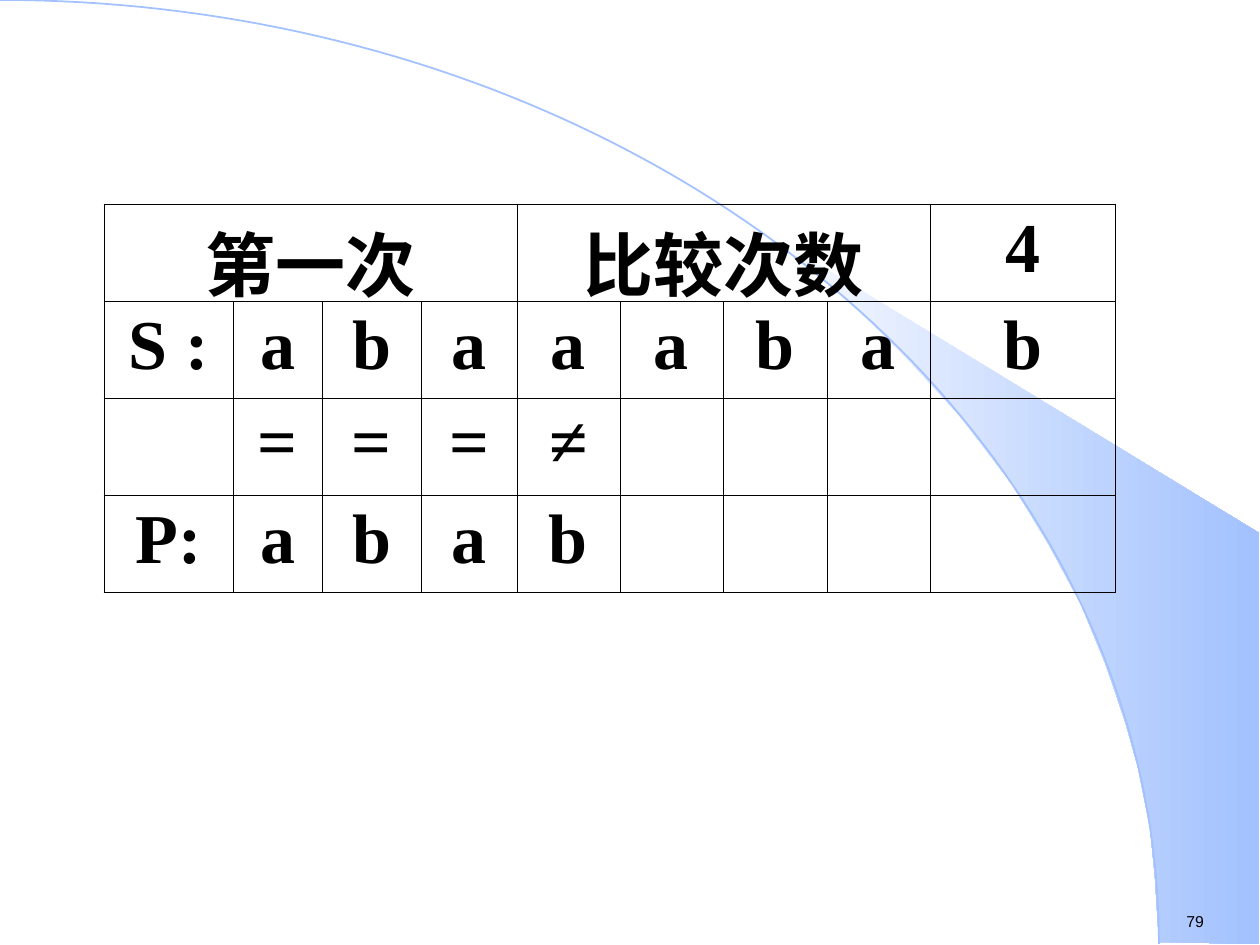
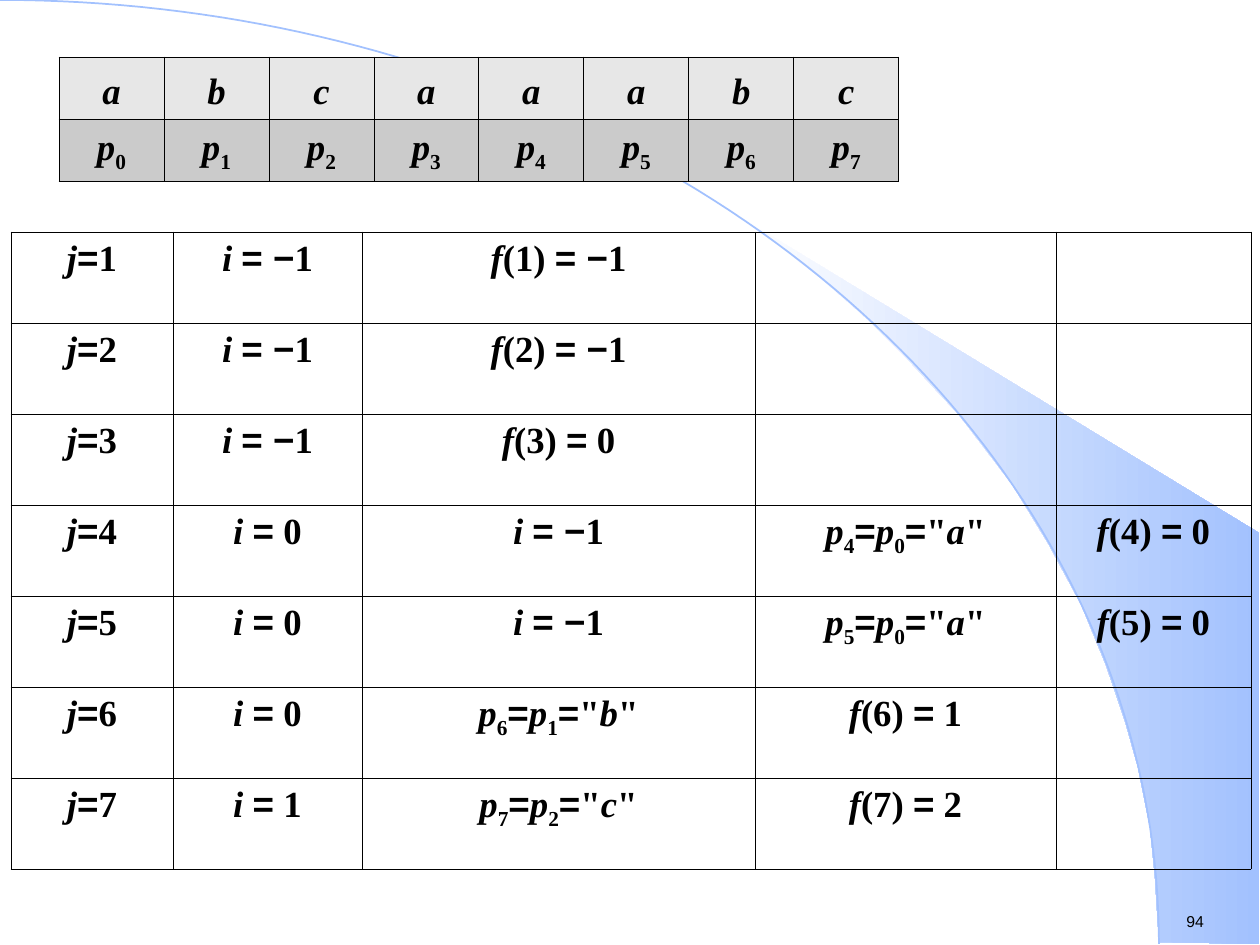
"""Build two string-matching slides: a comparison trace and a failure function."""
from itertools import groupby
from math import cos, pi, sin

from lxml.etree import SubElement
from pptx import Presentation
from pptx.dml.color import RGBColor
from pptx.enum.text import MSO_AUTO_SIZE as AUTO, PP_ALIGN as ALIGN
from pptx.oxml.ns import qn
from pptx.util import Pt

EMU_PER_PX = 914400 / 126
SERIF, SANS = "Times New Roman", "Arial"
COLORS = {"ink": "000000", "white": "FFFFFF", "sky": "A2C1FE",
          "light": "E7E7E7", "mid": "CBCBCB"}
WEDGE = [(1159, 942), (1259, 944), (1259, 533), (742, 218), (786, 251),
         (823, 280), (863, 315), (902, 353), (960, 416), (1012, 484),
         (1048, 543), (1081, 604), (1106, 665), (1125, 721), (1138, 767),
         (1150, 827), (1155, 877)]
ARC_W, ARC_H, ARC_STEPS = 1159, 944, 90


def px(n):
    """Turn pixels into EMU."""
    return round(n * EMU_PER_PX)


def rgb(name):
    """Look up a palette colour."""
    return RGBColor.from_string(COLORS[name])


def style_run(r, size, face, bold=False, italic=False):
    """Format one run in the ink colour."""
    r.font.size, r.font.name = Pt(size), face
    r.font.bold, r.font.italic = bold, italic
    r.font.color.rgb = rgb("ink")


def add_outline(s, points, close):
    """Draw a freeform through pixel points."""
    (x, y), *rest = [(px(x), px(y)) for x, y in points]
    fb = s.shapes.build_freeform(x, y, scale=1.0)
    fb.add_line_segments(rest, close=close)
    sp = fb.convert_to_shape()
    sp.shadow.inherit = False
    return sp


def add_backdrop(s):
    """Draw the shaded wedge and the quarter-ellipse line."""
    wedge = add_outline(s, WEDGE, True)
    wedge.line.fill.background()
    wedge.fill.gradient()
    wedge.fill.gradient_angle = 0
    for stop, name in zip(wedge.fill.gradient_stops, ("white", "sky")):
        stop.color.rgb = rgb(name)
    angles = [pi / 2 * k / ARC_STEPS for k in range(ARC_STEPS + 1)]
    arc = add_outline(s, [(ARC_W * sin(a), ARC_H * (1 - cos(a))) for a in angles], False)
    arc.fill.background()
    arc.line.color.rgb = rgb("sky")
    arc.line.width = Pt(1)


def add_page_number(s, number):
    """Write the page number in the bottom right corner."""
    tf = s.shapes.add_textbox(px(1174), px(906), px(97), px(31)).text_frame
    tf.word_wrap = False
    tf.auto_size = AUTO.SHAPE_TO_FIT_TEXT
    tf.text = str(number)
    style_run(tf.paragraphs[0].runs[0], 9, SANS)


def add_slide(prs, number):
    """Add a blank slide with the shared decoration."""
    s = prs.slides.add_slide(prs.slide_layouts[6])
    add_backdrop(s)
    add_page_number(s, number)
    return s


def set_borders(cell):
    """Give a cell thin ink borders on all sides."""
    tc_pr = cell._tc.get_or_add_tcPr()
    for k, side in enumerate(("lnL", "lnR", "lnT", "lnB")):
        ln = SubElement(tc_pr, qn("a:" + side), w=str(Pt(0.45)))
        fill = SubElement(ln, qn("a:solidFill"))
        SubElement(fill, qn("a:srgbClr"), val=COLORS["ink"])
        tc_pr.insert(k, ln)


def write_plain(p, text):
    """Write large bold text."""
    p.text = text
    style_run(p.runs[0], 40, SERIF, bold=True)


def math_style(text, k):
    """Tell whether character k is a variable, an operator or a subscript."""
    if text[k] == " ":
        k += 1 if text[k - 1] == "=" else -1
    ch = text[k]
    return ch.isalpha(), ch in "=−", ch.isdigit() and text[k - 1:k] == "p"


def write_math(p, text):
    """Write a formula with italic variables, sans operators and subscripts."""
    for style, group in groupby(range(len(text)), lambda k: math_style(text, k)):
        variable, operator, subscript = style
        r = p.add_run()
        r.text = "".join(text[k] for k in group)
        style_run(r, 21, SANS if operator else SERIF, True, variable)
        if subscript:
            r._r.get_or_add_rPr().set("baseline", "-25000")


def add_grid(s, left, top, widths, row_h, rows, write, fills=None, spacing=None):
    """Add a bordered table and write its non-empty cells."""
    tbl = s.shapes.add_table(len(rows), len(widths), px(left), px(top),
                             px(sum(widths)), px(row_h * len(rows))).table
    tbl.first_row = tbl.horz_banding = False
    for col, w in zip(tbl.columns, widths):
        col.width = px(w)
    for i, texts in enumerate(rows):
        tbl.rows[i].height = px(row_h)
        for j in range(len(widths)):
            cell = tbl.cell(i, j)
            if fills:
                cell.fill.solid()
                cell.fill.fore_color.rgb = rgb(fills[i])
            else:
                cell.fill.background()
            set_borders(cell)
            if j < len(texts) and texts[j]:
                p = cell.text_frame.paragraphs[0]
                p.alignment = ALIGN.CENTER
                p.line_spacing = spacing
                write(p, texts[j])
    return tbl


def build_trace(prs):
    """Build the first comparison of S with P."""
    s = add_slide(prs, 79)
    rows = [["第一次", "", "", "", "比较次数", "", "", "", "4"],
            ["S :", *"abaaabab"],
            ["", *"===≠"],
            ["P:", *"abab"]]
    widths = [129, 89, 99, 96, 103, 103, 104, 103, 186]
    tbl = add_grid(s, 104, 204, widths, 97, rows, write_plain)
    for first in (0, 4):
        tbl.cell(0, first).merge(tbl.cell(0, first + 3))


def build_failure(prs):
    """Build the pattern strip and the failure function steps."""
    s = add_slide(prs, 94)
    pattern = "abcaaabc"
    strip = [list(pattern), [f"p{k}" for k in range(len(pattern))]]
    add_grid(s, 59, 57, [105] * len(pattern), 62, strip, write_math,
             fills=("light", "mid"), spacing=Pt(28))
    steps = [["i = −1", "f(1) = −1"],
             ["i = −1", "f(2) = −1"],
             ["i = −1", "f(3) = 0"],
             ["i = 0", "i = −1", 'p4=p0="a"', "f(4) = 0"],
             ["i = 0", "i = −1", 'p5=p0="a"', "f(5) = 0"],
             ["i = 0", 'p6=p1="b"', "f(6) = 1"],
             ["i = 1", 'p7=p2="c"', "f(7) = 2"]]
    rows = [[f"j={j}", *step] for j, step in enumerate(steps, 1)]
    add_grid(s, 11, 232, [162, 189, 393, 301, 195], 91, rows, write_math)


def main():
    """Build and save the deck."""
    prs = Presentation()
    prs.slide_width, prs.slide_height = px(1260), px(945)
    build_trace(prs)
    build_failure(prs)
    prs.save("out.pptx")


if __name__ == "__main__":
    main()
